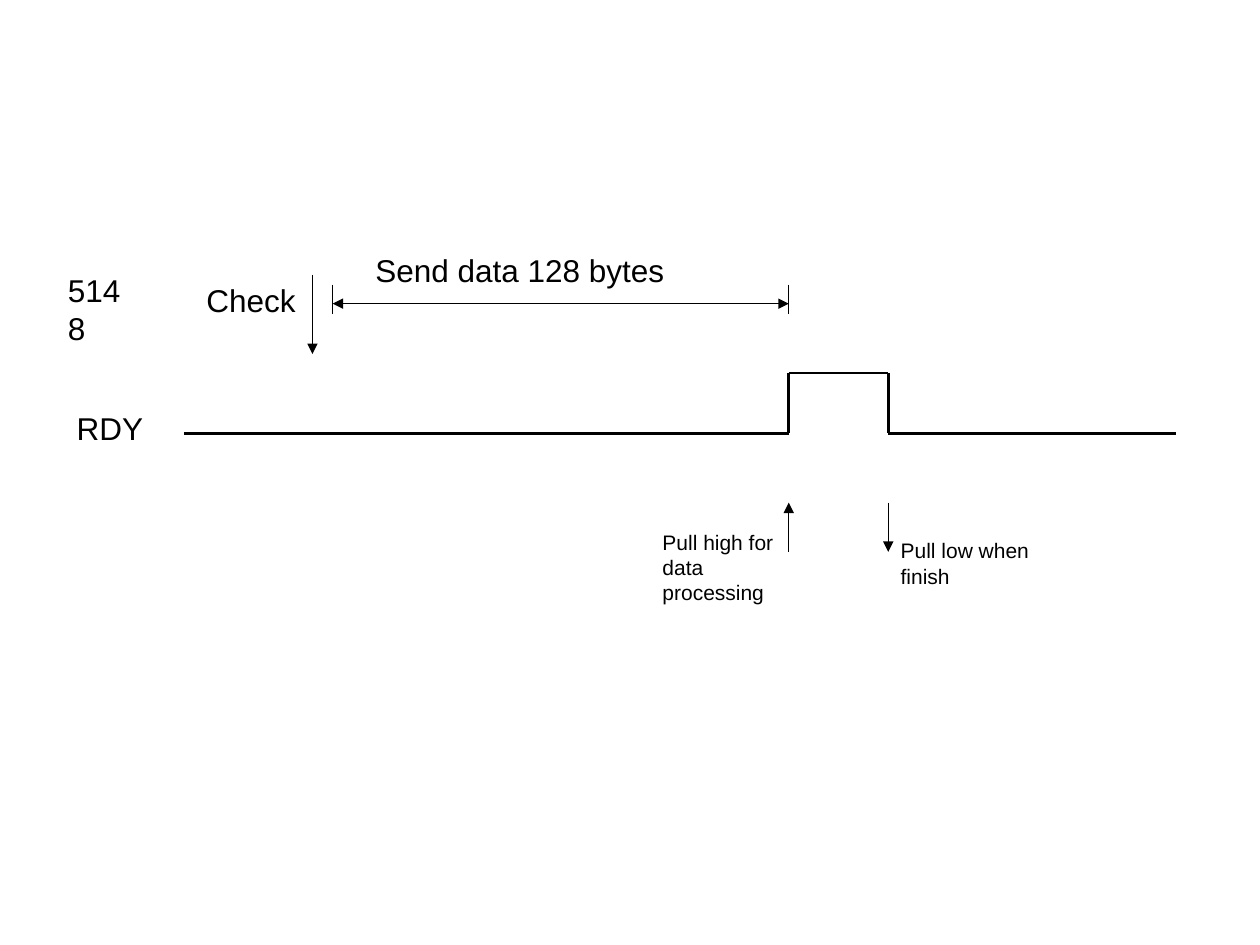
from pptx import Presentation
from pptx.dml.color import RGBColor
from pptx.enum.shapes import MSO_CONNECTOR
from pptx.enum.text import MSO_AUTO_SIZE
from pptx.oxml.ns import qn
from pptx.util import Inches, Pt
from lxml.etree import SubElement

BLACK = RGBColor(0x00, 0x00, 0x00)

prs = Presentation()
prs.slide_width, prs.slide_height = Inches(10), Inches(7.5)
s = prs.slides.add_slide(prs.slide_layouts[6])


def add_line(start, end, width=0.75, arrows=()):
    """Draw a line; arrows may hold "headEnd" (at start) and "tailEnd" (at end)."""
    points = [Inches(v) for v in (*start, *end)]
    sp = s.shapes.add_connector(MSO_CONNECTOR.STRAIGHT, *points)
    sp.line.color.rgb = BLACK
    sp.line.width = Pt(width)
    ln = sp.line._get_or_add_ln()
    for arrow in arrows:
        SubElement(ln, qn(f"a:{arrow}"), type="triangle")
    SubElement(sp._element.spPr, qn("a:effectLst"))


def add_label(text, x, y, w, h, size):
    tf = s.shapes.add_textbox(Inches(x), Inches(y), Inches(w), Inches(h)).text_frame
    tf.word_wrap = False
    tf.auto_size = MSO_AUTO_SIZE.SHAPE_TO_FIT_TEXT
    p = tf.paragraphs[0]
    p.text = text
    p.font.name = "Arial"
    p.font.size = Pt(size)
    p.font.color.rgb = BLACK


# Time marks and signal levels
check, send, rise, fall = 2.48, 2.64, 6.26, 7.05
low, high = 3.44, 2.96

# RDY signal
wave = [(1.46, low), (rise, low), (rise, high), (fall, high), (fall, low), (9.33, low)]
for start, end in zip(wave, wave[1:]):
    add_line(start, end, 1.5)

# Check arrow and data span
add_line((check, 2.18), (check, 2.81), arrows=["tailEnd"])
for x in (send, rise):
    add_line((x, 2.26), (x, 2.49))
add_line((send, 2.41), (rise, 2.41), arrows=["headEnd", "tailEnd"])

# Edge arrows below the signal
add_line((rise, 4.38), (rise, 3.99), arrows=["tailEnd"])
add_line((fall, 3.99), (fall, 4.38), arrows=["tailEnd"])

# Labels
for label in [
    ("5148", 0.44, 2.1, 0.75, 0.4, 18),
    ("RDY", 0.51, 3.2, 0.73, 0.4, 18),
    ("Check", 1.54, 2.18, 0.91, 0.4, 18),
    ("Send data 128 bytes", 2.88, 1.94, 2.49, 0.4, 18),
    ("Pull high for \vdata processing", 5.16, 4.15, 1.37, 0.5, 12),
    ("Pull low when finish", fall, 4.22, 1.65, 0.3, 12),
]:
    add_label(*label)

prs.save("out.pptx")
